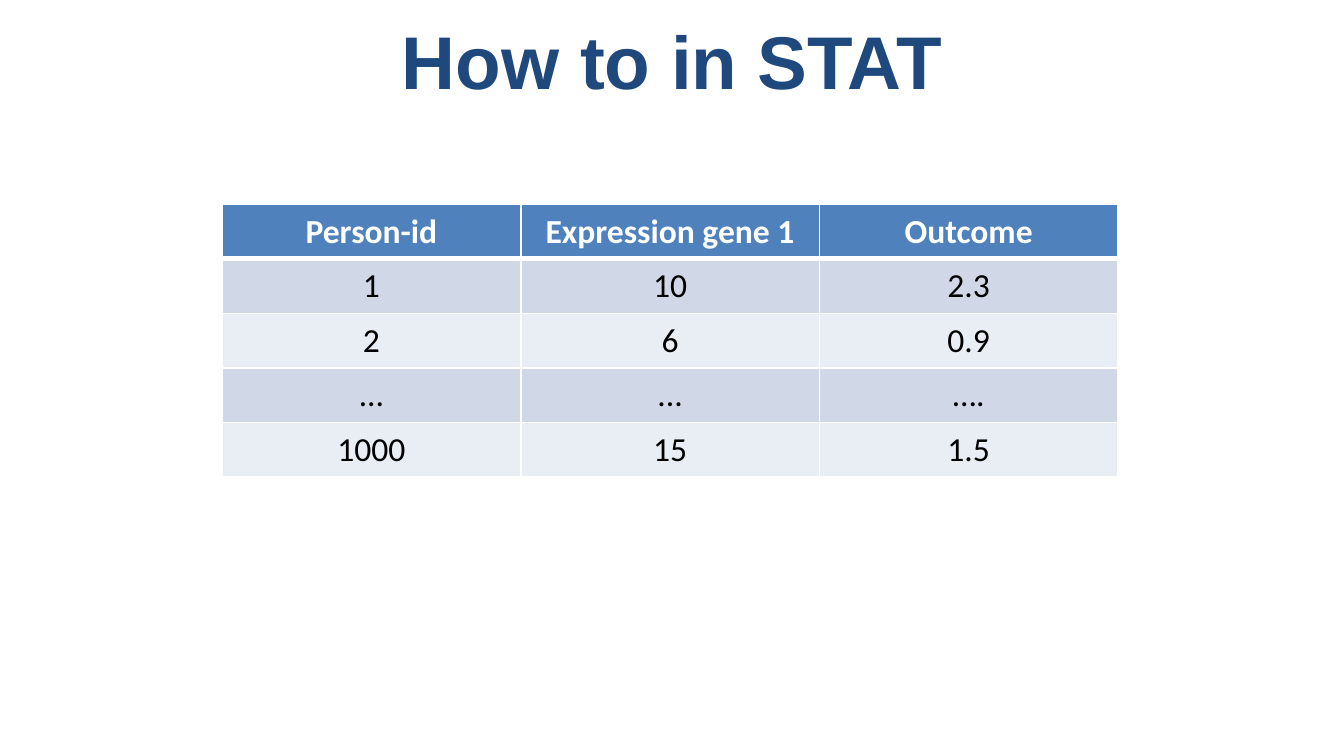
from lxml.etree import SubElement
from pptx import Presentation
from pptx.dml.color import RGBColor
from pptx.enum.text import MSO_ANCHOR, PP_ALIGN
from pptx.oxml.ns import qn
from pptx.util import Pt

COLORS = {
    "title": "1F497D",
    "header": "4F81BD",
    "odd_row": "D0D8E8",
    "even_row": "E9EDF4",
    "white": "FFFFFF",
    "black": "000000",
}
ROWS = [
    ["Person-id", "Expression gene 1", "Outcome"],
    ["1", "10", "2.3"],
    ["2", "6", "0.9"],
    ["…", "...", "…."],
    ["1000", "15", "1.5"],
]


def add_text(text_frame, text, font_name, size, color, bold):
    paragraph = text_frame.paragraphs[0]
    paragraph.alignment = PP_ALIGN.CENTER
    run = paragraph.add_run()
    run.text = text
    run.font.name = font_name
    run.font.size = Pt(size)
    run.font.bold = bold
    run.font.color.rgb = RGBColor.from_string(COLORS[color])


def fill_cell(cell, color, top_width, bottom_width):
    properties = cell._tc.get_or_add_tcPr()
    widths = {"a:lnL": 1, "a:lnR": 1, "a:lnT": top_width, "a:lnB": bottom_width}
    for tag, width in widths.items():
        line = SubElement(properties, qn(tag), w=str(Pt(width)))
        line_fill = SubElement(line, qn("a:solidFill"))
        SubElement(line_fill, qn("a:srgbClr"), val=COLORS["white"])
    cell.fill.solid()
    cell.fill.fore_color.rgb = RGBColor.from_string(COLORS[color])


def place_title(slide, left, top, width, height):
    title = slide.shapes.title
    title.left, title.top = Pt(left), Pt(top)
    title.width, title.height = Pt(width), Pt(height)
    title.text_frame.vertical_anchor = MSO_ANCHOR.MIDDLE
    add_text(title.text_frame, "How to in STAT", "Arial", 40, "title", True)


def place_table(slide, left, top, width, height):
    table = slide.shapes.add_table(
        len(ROWS), len(ROWS[0]), Pt(left), Pt(top), Pt(width), Pt(height)
    ).table
    for row_index, row in enumerate(ROWS):
        is_header = row_index == 0
        if is_header:
            fill = "header"
        else:
            fill = "odd_row" if row_index % 2 else "even_row"
        top_width = 3 if row_index == 1 else 1
        bottom_width = 3 if is_header else 1
        text_color = "white" if is_header else "black"
        for column_index, text in enumerate(row):
            cell = table.cell(row_index, column_index)
            fill_cell(cell, fill, top_width, bottom_width)
            add_text(cell.text_frame, text, "Calibri", 18, text_color, is_header)


def main():
    presentation = Presentation()
    presentation.slide_width = Pt(720)
    presentation.slide_height = Pt(405)
    slide = presentation.slides.add_slide(presentation.slide_layouts[5])
    place_title(slide, 0, 2.2, 720, 59)
    place_table(slide, 119, 109.5, 480, 146)
    presentation.save("out.pptx")


if __name__ == "__main__":
    main()
